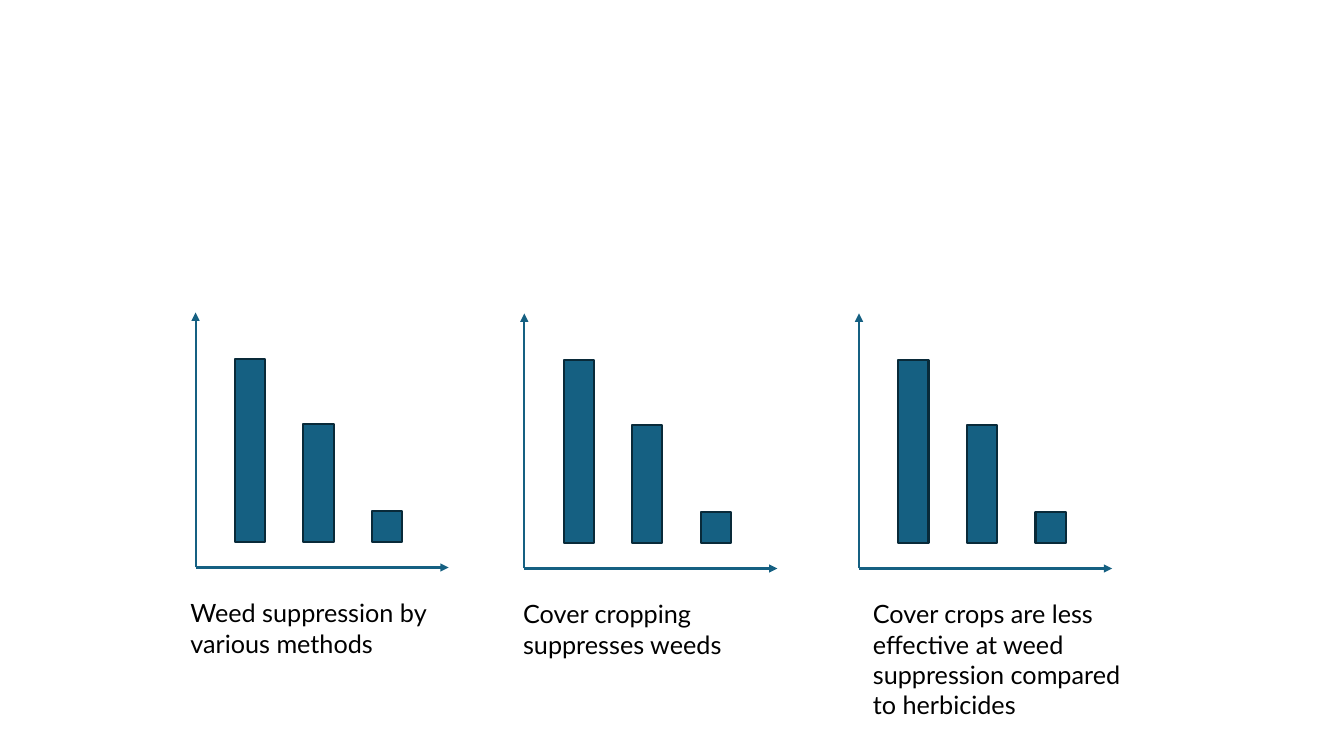
from lxml.etree import SubElement
from pptx import Presentation
from pptx.dml.color import RGBColor
from pptx.enum.shapes import MSO_CONNECTOR, MSO_SHAPE
from pptx.enum.text import MSO_AUTO_SIZE
from pptx.oxml.ns import qn
from pptx.util import Inches, Pt

BLUE, EDGE, BLACK = "156082", "092A39", "000000"
BARS = [1.82, 1.17, 0.31]
WIDTH, HEIGHT = 2.51, 2.53
PANELS = [
    (1.94, 3.1, 1.79, 0.71, "Weed suppression by various methods"),
    (5.2, 3.11, 5.09, 0.71, "Cover cropping suppresses weeds"),
    (8.52, 3.11, 8.56, 1.62,
     "Cover crops are less effective at weed suppression compared to herbicides"),
]


def color(code):
    return RGBColor.from_string(code)


def style(target, values):
    for name, value in values.items():
        setattr(target, name, value)


def stroke(line, code):
    line.color.rgb = color(code)
    line.width = Pt(1.5)


def add_bar(slide, left, base, tall):
    bar = slide.shapes.add_shape(
        MSO_SHAPE.RECTANGLE, Inches(left), Inches(base - tall), Inches(0.3), Inches(tall))
    bar.shadow.inherit = False
    bar.fill.solid()
    bar.fill.fore_color.rgb = color(BLUE)
    stroke(bar.line, EDGE)


def add_axis(slide, start, end):
    axis = slide.shapes.add_connector(
        MSO_CONNECTOR.STRAIGHT, *[Inches(value) for value in start + end])
    stroke(axis.line, BLUE)
    SubElement(axis.line._get_or_add_ln(), qn("a:tailEnd"), type="triangle")
    SubElement(axis._element.spPr, qn("a:effectLst"))


def add_graph(slide, left, top):
    base = top + HEIGHT
    for index, tall in enumerate(BARS):
        add_bar(slide, left + 0.39 + 0.68 * index, base - 0.25, tall)
    for end in [(left + WIDTH, base), (left, top)]:
        add_axis(slide, (left, base), end)


def add_label(slide, left, top, tall, text):
    box = slide.shapes.add_textbox(
        Inches(left), Inches(top), Inches(2.66), Inches(tall))
    frame = box.text_frame
    style(frame, {"word_wrap": True, "auto_size": MSO_AUTO_SIZE.SHAPE_TO_FIT_TEXT})
    run = frame.paragraphs[0].add_run()
    run.text = text
    style(run.font, {"name": "Lato", "size": Pt(18)})
    run.font.color.rgb = color(BLACK)


def main():
    deck = Presentation()
    style(deck, {"slide_width": Inches(13.33), "slide_height": Inches(7.5)})
    slide = deck.slides.add_slide(deck.slide_layouts[6])
    for left, top, *_ in PANELS:
        add_graph(slide, left, top)
    for _, top, edge, tall, text in PANELS:
        add_label(slide, edge, top + HEIGHT + 0.25, tall, text)
    deck.save("out.pptx")


if __name__ == "__main__":
    main()
